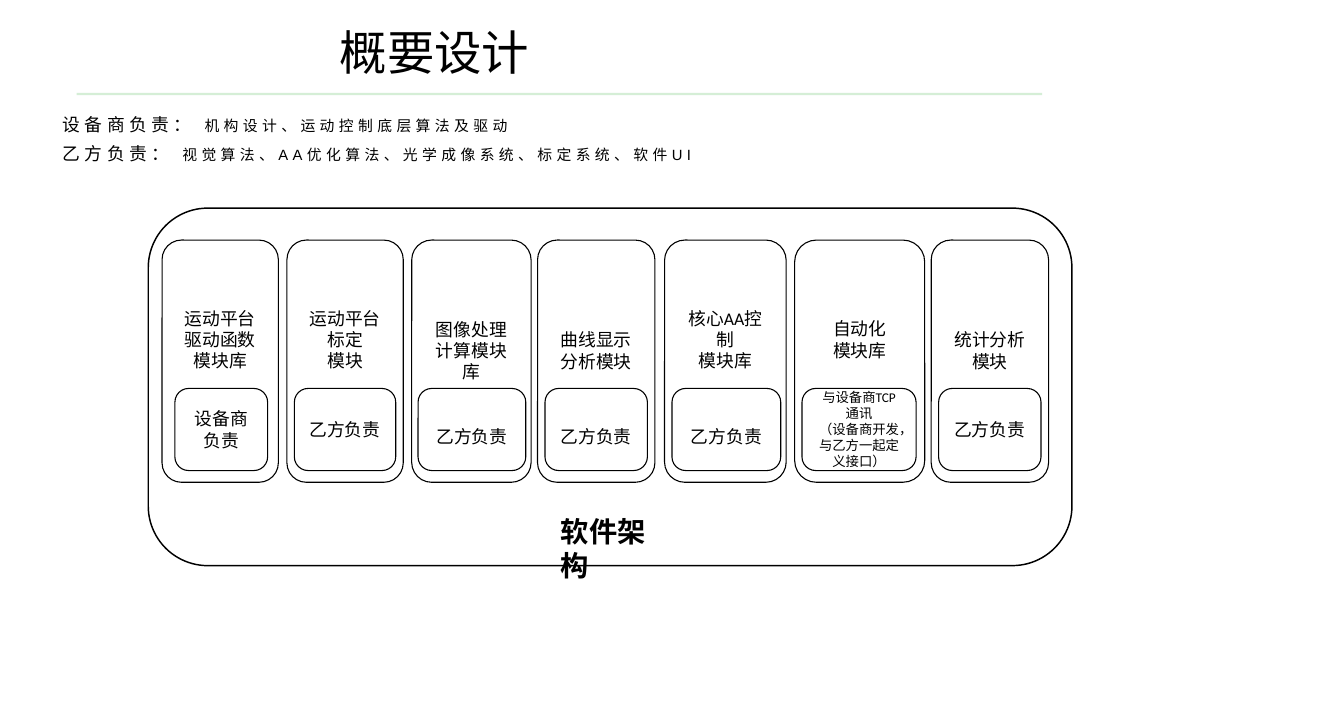
from lxml import etree
from pptx import Presentation
from pptx.dml.color import RGBColor
from pptx.enum.shapes import MSO_CONNECTOR, MSO_SHAPE
from pptx.enum.text import MSO_ANCHOR, MSO_AUTO_SIZE, PP_ALIGN
from pptx.oxml.ns import qn
from pptx.util import Pt

BLACK = RGBColor.from_string("000000")
LINE_HEIGHT = 14.65
MARGIN = 3.6


def add_run(paragraph, text, size, font_name="Calibri", spacing=0, bold=False):
    """Add black text; a Noto font also serves the East Asian letters."""
    run = paragraph.add_run()
    run.text = text
    run.font.size = Pt(size)
    run.font.name = font_name
    run.font.bold = bold
    run.font.color.rgb = BLACK
    properties = run.font._element
    if spacing:
        properties.set("spc", str(spacing * 100))
    if font_name.startswith("Noto"):
        etree.SubElement(properties, qn("a:ea")).set("typeface", font_name)


def add_rounded_box(left, top, width, height, lines=(), size=12,
                    space_above=0, space_below=0, line_width=0.75):
    shape = slide.shapes.add_shape(MSO_SHAPE.ROUNDED_RECTANGLE,
                                   Pt(left), Pt(top), Pt(width), Pt(height))
    shape.shadow.inherit = False
    shape.fill.background()
    shape.line.color.rgb = BLACK
    shape.line.width = Pt(line_width)
    frame = shape.text_frame
    frame.word_wrap = True
    frame.vertical_anchor = MSO_ANCHOR.MIDDLE
    frame.margin_top = Pt(MARGIN + space_above)
    frame.margin_bottom = Pt(MARGIN + space_below)
    for index, text in enumerate(lines):
        paragraph = frame.add_paragraph() if index else frame.paragraphs[0]
        paragraph.alignment = PP_ALIGN.CENTER
        add_run(paragraph, text, size)


presentation = Presentation()
presentation.slide_width = Pt(907.2)
presentation.slide_height = Pt(481.7)
slide = presentation.slides.add_slide(presentation.slide_layouts[0])
subtitle = slide.placeholders[1].element
subtitle.getparent().remove(subtitle)

# Title and the pale rule below it
title = slide.shapes.title
title.left, title.top, title.width, title.height = Pt(64.8), Pt(11.5), Pt(457.2), Pt(46.8)
title.text_frame.auto_size = MSO_AUTO_SIZE.NONE
title.text_frame.vertical_anchor = MSO_ANCHOR.BOTTOM
title_paragraph = title.text_frame.paragraphs[0]
title_paragraph.alignment = PP_ALIGN.CENTER
title_paragraph.line_spacing = 0.9
add_run(title_paragraph, "概要设计", 32, "Noto Sans CJK SC")

rule = slide.shapes.add_connector(MSO_CONNECTOR.STRAIGHT,
                                  Pt(51.8), Pt(63.4), Pt(703.4), Pt(63.4))
rule.line.color.rgb = RGBColor.from_string("2FAB36")
rule.line.width = Pt(1.5)
rule_color = rule.line._ln.find(".//" + qn("a:srgbClr"))
etree.SubElement(rule_color, qn("a:alpha")).set("val", "20000")
etree.SubElement(rule._element.spPr, qn("a:effectLst"))

# Who is responsible for what
responsibilities = [
    (73.4, 330, "设备商负责： ", "机构设计、运动控制底层算法及驱动"),
    (92.9, 461.5, "乙方负责： ", "视觉算法、AA优化算法、光学成像系统、标定系统、软件UI"),
]
for top, width, party, duties in responsibilities:
    text_box = slide.shapes.add_textbox(Pt(35.3), Pt(top), Pt(width), Pt(21.6))
    text_box.text_frame.word_wrap = True
    paragraph = text_box.text_frame.paragraphs[0]
    add_run(paragraph, party, 12, "Noto Sans CJK JP", spacing=3)
    add_run(paragraph, duties, 10, "Arial", spacing=3)

# Software architecture
add_rounded_box(100.1, 140.4, 623.5, 241.2, line_width=1)
caption = slide.shapes.add_textbox(Pt(371.5), Pt(343.4), Pt(87.8), Pt(28.8))
caption.text_frame.word_wrap = True
add_run(caption.text_frame.paragraphs[0], "软件架构", 19.1, bold=True)

# Module left, width, name, lines kept free below; owner left, width, text, size, space above
modules = [
    (109.4, 78.5, ["运动平台驱动函数", "模块库"], 2, 118.1, 62.6, ["设备商负责"], 12, 0),
    (193.7, 78.5, ["运动平台标定", "模块"], 2, 198.7, 68.4, ["乙方负责"], 12, 0),
    (277.9, 80.6, ["图像处理计算模块库"], 1, 282.2, 72.7, ["乙方负责"], 12, 9.8),
    (362.9, 79.2, ["曲线显示分析模块"], 1, 367.9, 69.1, ["乙方负责"], 12, 9.8),
    (448.6, 82.1, ["核心AA控制", "模块库"], 2, 453.6, 73.4, ["乙方负责"], 12, 9.8),
    (536.4, 87.8, ["自动化", "模块库"], 2, 541.4, 77,
     ["与设备商TCP通讯", "（设备商开发，与乙方一起定义接口）"], 9, 0),
    (628.6, 79.2, ["统计分析模块"], 1, 633.6, 69.1, ["乙方负责"], 12, 0),
]
for (left, width, name, free_lines,
     owner_left, owner_width, owner, owner_size, owner_space) in modules:
    add_rounded_box(left, 162, width, 163.4, name, space_below=free_lines * LINE_HEIGHT)
    add_rounded_box(owner_left, 262.1, owner_width, 55.4, owner, owner_size,
                    space_above=owner_space)

presentation.save("out.pptx")
